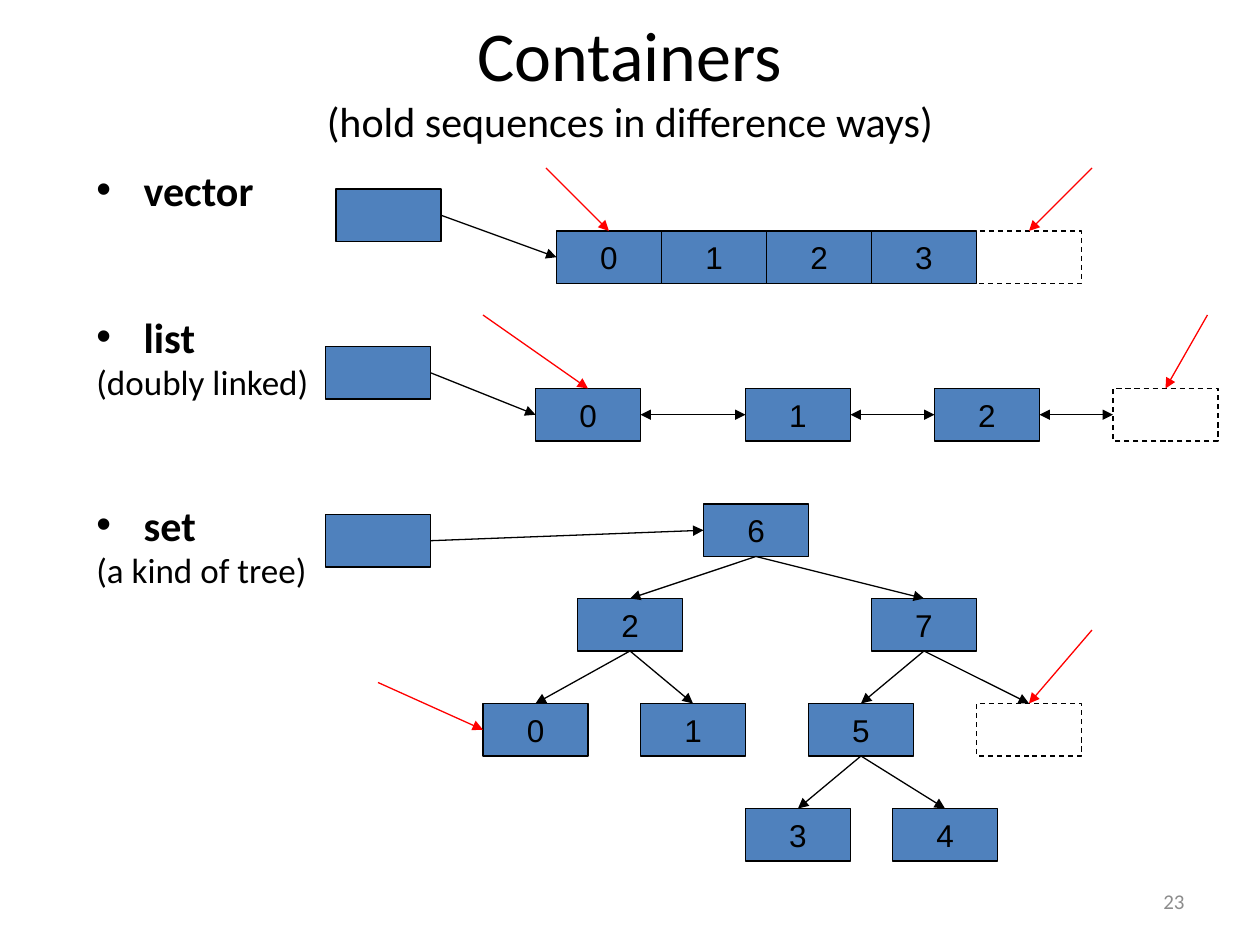
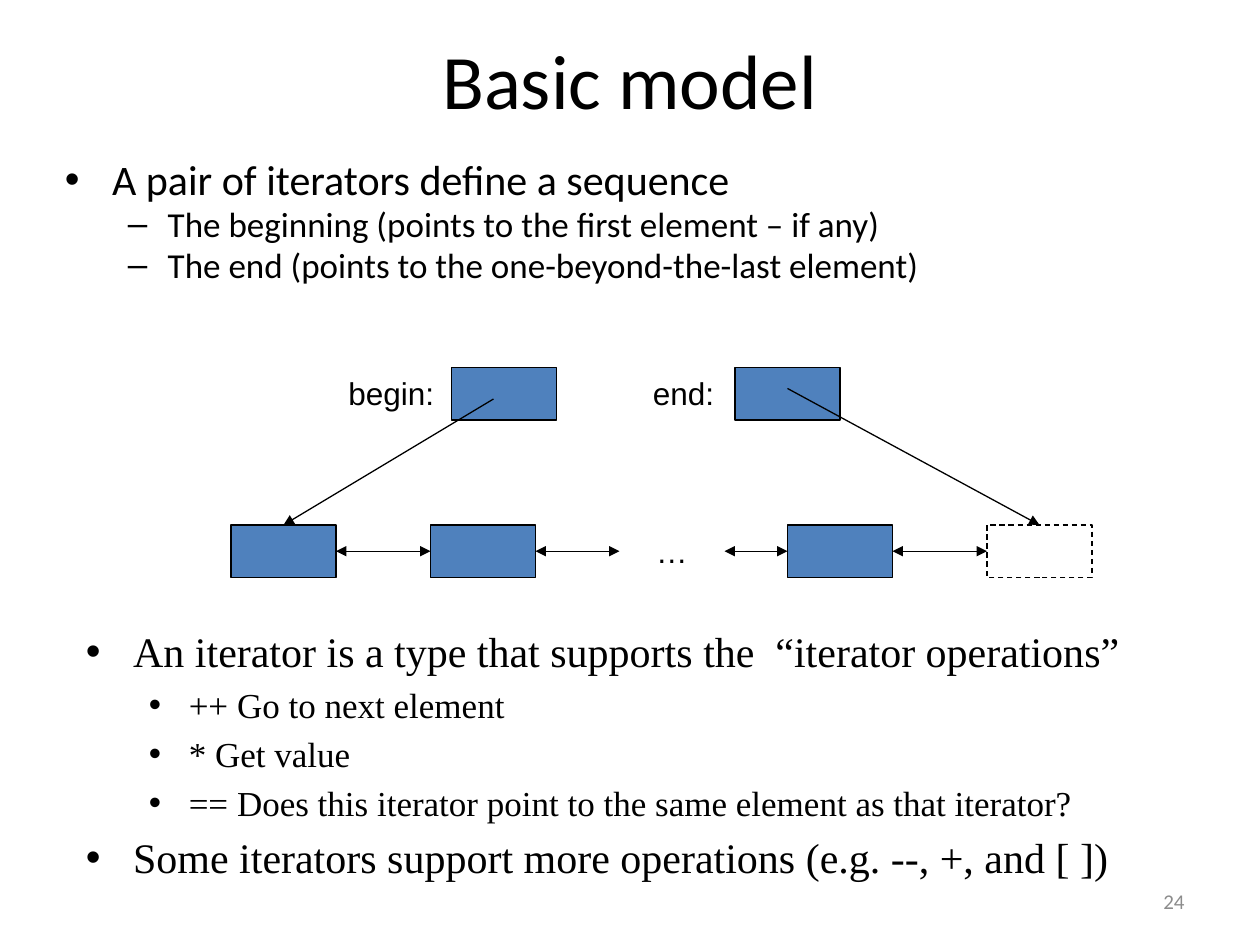
import pptx
import pptx.dml.color
import pptx.enum.dml
import pptx.enum.shapes
import pptx.enum.text
import pptx.oxml.ns
import pptx.util
from lxml import etree

EMU_PER_PX = 7620
BLACK, WHITE, BLUE, RED, GRAY = "000000", "FFFFFF", "4F81BD", "FF0000", "8C8C8C"
BODY, LABEL, SERIF = "Calibri", "Arial", "Times New Roman"
TOP, LEFT, BOTTOM, RIGHT = range(4)
BOX_WIDTH, BOX_HEIGHT = 100, 50
DASH = pptx.enum.dml.MSO_LINE.DASH
DOTS = pptx.enum.dml.MSO_LINE.ROUND_DOT
ALIGN = pptx.enum.text.PP_ALIGN
MIDDLE = pptx.enum.text.MSO_ANCHOR.MIDDLE
ITEM = dict(size=24, bullet="•", indent=45, hang=45)
SUBITEM = dict(size=20, bullet="–", indent=98, hang=38)
REMARK = dict(size=20, indent=45, hang=45)


def px(*lengths):
    """Turn pixel lengths into EMU."""
    return [pptx.util.Emu(length * EMU_PER_PX) for length in lengths]


def rgb(code):
    """Turn a hex string into a colour."""
    return pptx.dml.color.RGBColor.from_string(code)


def add_xml(parent, tag, **attributes):
    """Append a DrawingML element."""
    return etree.SubElement(parent, pptx.oxml.ns.qn(tag), attributes)


def write(frame, words, size=18, font=BODY, color=BLACK, bold=False, align=ALIGN.LEFT,
          before=0, spacing=1.0, bullet=None, indent=0, hang=0):
    """Write one formatted paragraph into a text frame."""
    first = frame.paragraphs[0]
    paragraph = frame.add_paragraph() if first.runs else first
    paragraph.alignment = align
    paragraph.line_spacing = spacing
    paragraph.space_before = pptx.util.Pt(before)
    run = paragraph.add_run()
    run.text = words
    run.font.name, run.font.size, run.font.bold = font, pptx.util.Pt(size), bold
    run.font.color.rgb = rgb(color)
    if indent:
        properties = paragraph._p.get_or_add_pPr()
        margin, first_line = px(indent, -hang)
        properties.set("marL", str(margin))
        properties.set("indent", str(first_line))
        if bullet:
            add_xml(properties, "a:buFont", typeface=LABEL)
            add_xml(properties, "a:buChar", char=bullet)


class Deck:
    """Hold the style and the current slide."""

    def __init__(self):
        """Start an empty 4:3 presentation."""
        self.show = pptx.Presentation()
        self.show.slide_width, self.show.slide_height = px(1200, 900)
        self.shapes = None

    def slide(self, number, title, title_size, subtitle=None):
        """Add a slide with its title and number."""
        self.shapes = self.show.slides.add_slide(self.show.slide_layouts[6]).shapes
        heading = self.text_area(60, 0, 1080, 150, MIDDLE)
        write(heading, title, size=title_size, align=ALIGN.CENTER)
        if subtitle:
            write(heading, subtitle, size=24, align=ALIGN.CENTER)
        footer = self.text_area(860, 834, 280, 48, MIDDLE)
        write(footer, str(number), size=12, color=GRAY, align=ALIGN.RIGHT)

    def text_area(self, x, y, width, height, anchor=pptx.enum.text.MSO_ANCHOR.TOP):
        """Add a wrapping text box and return its frame."""
        frame = self.shapes.add_textbox(*px(x, y, width, height)).text_frame
        frame.word_wrap = True
        frame.vertical_anchor = anchor
        return frame

    def outline(self, x, y, width, height, items, **common):
        """Add a list of (words, format) items."""
        frame = self.text_area(x, y, width, height)
        for order, (words, style) in enumerate(items):
            gap = style["size"] / 5 if order else 0
            write(frame, words, **{"before": gap, **common, **style})

    def box(self, x, y, label="", fill=BLUE, line=BLACK, dash=None):
        """Add a node box, unfilled when fill is None."""
        rectangle = pptx.enum.shapes.MSO_SHAPE.RECTANGLE
        node = self.shapes.add_shape(rectangle, *px(x, y, BOX_WIDTH, BOX_HEIGHT))
        node.shadow.inherit = False
        if fill:
            node.fill.solid()
            node.fill.fore_color.rgb = rgb(fill)
        else:
            node.fill.background()
        node.line.color.rgb = rgb(line)
        node.line.width = pptx.util.Pt(0.75)
        if dash:
            node.line.dash_style = dash
        if label:
            node.text_frame.word_wrap = False
            node.text_frame.vertical_anchor = MIDDLE
            write(node.text_frame, label, font=LABEL, align=ALIGN.CENTER)
        return node

    def end_box(self, x, y):
        """Add the dashed one-beyond-the-last box."""
        return self.box(x, y, fill=None, dash=DASH)

    def pointer(self, x, y, target, side=TOP, color=BLACK, both=False):
        """Draw an arrow from a point to one side of a box."""
        straight = pptx.enum.shapes.MSO_CONNECTOR.STRAIGHT
        arrow = self.shapes.add_connector(straight, *px(x, y, x, y))
        arrow.end_connect(target, side)
        arrow.line.color.rgb = rgb(color)
        arrow.line.width = pptx.util.Pt(0.75)
        stroke = arrow.line._get_or_add_ln()
        if both:
            add_xml(stroke, "a:headEnd", type="triangle")
        add_xml(stroke, "a:tailEnd", type="triangle")
        add_xml(arrow._element.spPr, "a:effectLst")
        return arrow

    def link(self, source, source_side, target, target_side, both=False):
        """Draw an arrow between the sides of two boxes."""
        self.pointer(0, 0, target, target_side, both=both).begin_connect(source, source_side)

    def chain(self, nodes):
        """Link neighbouring boxes in both directions."""
        for node, following in zip(nodes, nodes[1:]):
            self.link(node, RIGHT, following, LEFT, both=True)


def containers(deck):
    """Build the slide of vector, list and set."""
    deck.slide(23, "Containers", 40, "(hold sequences in difference ways)")
    name = dict(ITEM, bold=True)
    deck.outline(80, 160, 260, 594, [
        ("vector", name),
        ("list", dict(name, before=61)),
        ("(doubly linked)", REMARK),
        ("set", dict(name, before=61)),
        ("(a kind of tree)", REMARK),
    ], spacing=0.8)

    handles = [deck.box(x, y) for x, y in ((320, 180), (310, 330), (310, 490))]
    vector = [deck.box(530 + BOX_WIDTH * i, 220, str(i)) for i in range(4)]
    vector_end = deck.end_box(930, 220)
    linked = [deck.box(x, 370, str(i)) for i, x in enumerate((510, 710, 890))]
    list_end = deck.end_box(1060, 370)
    places = {"6": (670, 480), "2": (550, 570), "7": (830, 570), "0": (460, 670),
              "1": (610, 670), "5": (770, 670), "3": (710, 770), "4": (850, 770)}
    tree = {key: deck.box(x, y, key) for key, (x, y) in places.items()}
    tree["end"] = deck.end_box(930, 670)

    deck.chain(linked + [list_end])
    children = {"6": "27", "2": "01", "7": ("5", "end"), "5": "34"}
    for parent, keys in children.items():
        for key in keys:
            deck.link(tree[parent], BOTTOM, tree[key], TOP)
    for handle, first in zip(handles, (vector[0], linked[0], tree["6"])):
        deck.link(handle, RIGHT, first, LEFT)

    iterators = [(520, 160, vector[0], TOP), (1040, 160, vector_end, TOP),
                 (460, 300, linked[0], TOP), (1150, 300, list_end, TOP),
                 (360, 650, tree["0"], LEFT), (1040, 600, tree["end"], TOP)]
    for x, y, target, side in iterators:
        deck.pointer(x, y, target, side, color=RED)


def basic_model(deck):
    """Build the slide of the iterator pair."""
    deck.slide(24, "Basic model", 44)
    deck.outline(50, 150, 1080, 140, [
        ("A pair of iterators define a sequence", ITEM),
        ("The beginning (points to the first element – if any)", SUBITEM),
        ("The end (points to the one-beyond-the-last element)", SUBITEM),
    ], spacing=0.8)

    for x in (430, 700):
        deck.box(x, 350)
    first, second, last = [deck.box(x, 500) for x in (220, 410, 750)]
    beyond = deck.end_box(940, 500)
    rest = deck.box(590, 500, "…", fill=None, line=WHITE, dash=DOTS)
    deck.chain([first, second, rest, last, beyond])
    deck.pointer(470, 380, first)
    deck.pointer(750, 370, beyond)
    for x, words in ((320, "begin:"), (610, "end:")):
        write(deck.text_area(x, 350, 130, 48), words, font=LABEL)

    operation = dict(SUBITEM, bullet="•")
    deck.outline(70, 590, 1070, 300, [
        ("An iterator is a type that supports the  “iterator operations”", ITEM),
        ("++ Go to next element", operation),
        ("* Get value", operation),
        ("== Does this iterator point to the same element as that iterator?", operation),
        ("Some iterators support more operations (e.g. --, +, and [ ])", ITEM),
    ], font=SERIF)


def main():
    """Build and save the deck."""
    deck = Deck()
    containers(deck)
    basic_model(deck)
    deck.show.save("out.pptx")


if __name__ == "__main__":
    main()
